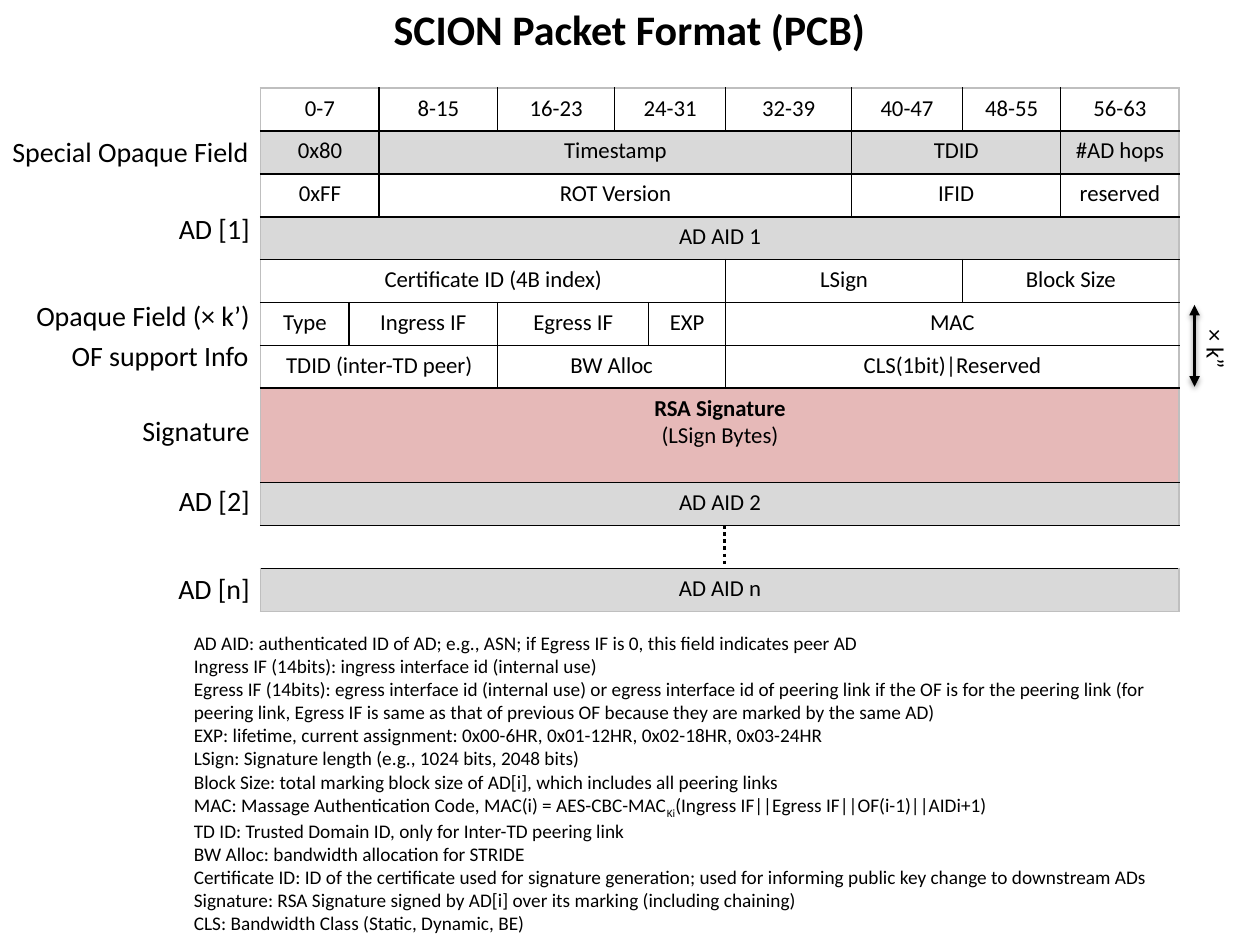
from dataclasses import dataclass
from lxml.etree import SubElement
from pptx import Presentation
from pptx.dml.color import RGBColor
from pptx.enum.dml import MSO_LINE
from pptx.enum.shapes import MSO_CONNECTOR
from pptx.enum.text import MSO_AUTO_SIZE, PP_ALIGN
from pptx.oxml.ns import qn
from pptx.util import Pt


@dataclass(frozen=True)
class Theme:
    font: str = "Calibri"
    ink: str = "000000"
    frame: str = "BFBFBF"
    grey: str = "D9D9D9"
    pink: str = "E6B9B8"
    title: float = 24
    label: float = 16
    repeat: float = 14
    cell: float = 13
    note: float = 11


THEME = Theme()
COLUMNS = [50.4, 17.28, 67.68, 66.96, 19.44, 43.92, 72, 63.36, 56.16, 67.68]
ROW_HEIGHT = 24.5
SIGNATURE_HEIGHT = 54
SIGNATURE_ROW = 7
GAP_ROW = 9

PACKET = [
    (None, [("0-7", 2), ("8-15", 1), ("16-23", 1), ("24-31", 2), ("32-39", 1),
            ("40-47", 1), ("48-55", 1), ("56-63", 1)]),
    (THEME.grey, [("0x80", 2), ("Timestamp", 5), ("TDID", 2), ("#AD hops", 1)]),
    (None, [("0xFF", 2), ("ROT Version", 5), ("IFID", 2), ("reserved", 1)]),
    (THEME.grey, [("AD AID 1", 10)]),
    (None, [("Certificate ID (4B index)", 6), ("LSign", 2), ("Block Size", 2)]),
    (None, [("Type", 1), ("Ingress IF", 2), ("Egress IF", 2), ("EXP", 1), ("MAC", 4)]),
    (None, [("TDID (inter-TD peer)", 3), ("BW Alloc", 3), ("CLS(1bit)|Reserved", 4)]),
    (THEME.pink, [("RSA Signature\n(LSign Bytes)", 10)]),
    (THEME.grey, [("AD AID 2", 10)]),
    (None, [("", 10)]),
    (THEME.grey, [("AD AID n", 10)]),
]

LABELS = [
    ("Special Opaque Field", 73.4, 149.1),
    ("AD [1]", 117.4, 149.8),
    ("Opaque Field (× k’)", 167, 149.8),
    ("OF support Info", 190.1, 149.1),
    ("Signature", 232.6, 149.8),
    ("AD [2]", 272.9, 149.8),
    ("AD [n]", 323.3, 149.8),
]

NOTES = [
    "AD AID: authenticated ID of AD; e.g., ASN; if Egress IF is 0, this field indicates peer AD",
    "Ingress IF (14bits): ingress interface id (internal use)",
    "Egress IF (14bits): egress interface id (internal use) or egress interface id of peering link "
    "if the OF is for the peering link (for peering link, Egress IF is same as that of previous OF "
    "because they are marked by the same AD)",
    "EXP: lifetime, current assignment: 0x00-6HR, 0x01-12HR, 0x02-18HR, 0x03-24HR",
    "LSign: Signature length (e.g., 1024 bits, 2048 bits)",
    "Block Size: total marking block size of AD[i], which includes all peering links",
    "MAC: Massage Authentication Code, "
    "MAC(i) = AES-CBC-MAC~Ki~(Ingress IF||Egress IF||OF(i-1)||AIDi+1)",
    "TD ID: Trusted Domain ID, only for Inter-TD peering link",
    "BW Alloc: bandwidth allocation for STRIDE",
    "Certificate ID: ID of the certificate used for signature generation; "
    "used for informing public key change to downstream ADs",
    "Signature: RSA Signature signed by AD[i] over its marking (including chaining)",
    "CLS: Bandwidth Class (Static, Dynamic, BE)",
]


def write_text(frame, text, *, size, align=PP_ALIGN.LEFT, bold_lines=0):
    for index, line in enumerate(text.split("\n")):
        para = frame.paragraphs[0] if index == 0 else frame.add_paragraph()
        para.alignment = align
        if not line:
            para._p.get_or_add_endParaRPr().set("sz", str(int(size * 100)))
            continue
        for part, piece in enumerate(line.split("~")):
            span = para.add_run()
            span.text = piece
            span.font.name = THEME.font
            span.font.size = Pt(size)
            span.font.bold = index < bold_lines
            span.font.color.rgb = RGBColor.from_string(THEME.ink)
            if part % 2:
                span.font._element.set("baseline", "-25000")


def add_text(page, box, text, *, wrap=False, rotation=0, **text_format):
    shape = page.shapes.add_textbox(*map(Pt, box))
    shape.rotation = rotation
    frame = shape.text_frame
    frame.word_wrap = wrap
    frame.auto_size = MSO_AUTO_SIZE.SHAPE_TO_FIT_TEXT
    write_text(frame, text, **text_format)


def set_border(cell, side, color):
    line = SubElement(cell._tc.get_or_add_tcPr(), qn(f"a:ln{side}"), w=str(Pt(1)))
    if color:
        fill = SubElement(line, qn("a:solidFill"))
        SubElement(fill, qn("a:srgbClr"), val=color)
    else:
        SubElement(line, qn("a:noFill"))


def add_field(table, row, start, width, text, fill):
    last = start + width - 1
    open_sided = row == GAP_ROW
    left = THEME.frame if start == 0 else THEME.ink
    right = THEME.frame if last == len(COLUMNS) - 1 else THEME.ink
    top = THEME.frame if row == 0 else THEME.ink
    bottom = THEME.frame if row == len(PACKET) - 1 else THEME.ink
    for column in range(start, last + 1):
        cell = table.cell(row, column)
        if column == start:
            set_border(cell, "L", None if open_sided else left)
        if column in (start, last):
            set_border(cell, "R", None if open_sided else right)
        set_border(cell, "T", top)
        set_border(cell, "B", bottom)
        if fill:
            cell.fill.solid()
            cell.fill.fore_color.rgb = RGBColor.from_string(fill)
        else:
            cell.fill.background()
    origin = table.cell(row, start)
    if width > 1:
        origin.merge(table.cell(row, last))
    write_text(origin.text_frame, text, size=THEME.cell, align=PP_ALIGN.CENTER,
               bold_lines=int(row == SIGNATURE_ROW))


def add_packet(page, left, top):
    height = ROW_HEIGHT * (len(PACKET) - 1) + SIGNATURE_HEIGHT
    table = page.shapes.add_table(len(PACKET), len(COLUMNS), Pt(left), Pt(top),
                                  Pt(sum(COLUMNS)), Pt(height)).table
    table.first_row = False
    table.horz_banding = False
    for column, width in zip(table.columns, COLUMNS):
        column.width = Pt(width)
    for row, (fill, fields) in enumerate(PACKET):
        table.rows[row].height = Pt(SIGNATURE_HEIGHT if row == SIGNATURE_ROW else ROW_HEIGHT)
        start = 0
        for text, width in fields:
            add_field(table, row, start, width, text, fill)
            start += width


def add_vertical(page, x, top, bottom):
    line = page.shapes.add_connector(MSO_CONNECTOR.STRAIGHT, Pt(x), Pt(top), Pt(x), Pt(bottom))
    line.line.color.rgb = RGBColor.from_string(THEME.ink)
    line.line.width = Pt(2)
    effects = SubElement(line._element.spPr, qn("a:effectLst"))
    return line, effects


def add_repeat_mark(page, left, top, height):
    arrow, effects = add_vertical(page, left, top, top + height)
    outline = arrow.line._get_or_add_ln()
    for end in ("a:headEnd", "a:tailEnd"):
        SubElement(outline, qn(end), type="triangle")
    shadow = SubElement(effects, qn("a:outerShdw"), blurRad=str(Pt(3.1)), dist=str(Pt(1.6)),
                        dir="5400000", rotWithShape="0")
    color = SubElement(shadow, qn("a:srgbClr"), val=THEME.ink)
    SubElement(color, qn("a:alpha"), val="38000")
    add_text(page, (left - 6.5, top + 13.7, 37.4, 24.5), "× k”", size=THEME.repeat, rotation=90)


def add_labels(page, width):
    for text, top, right in LABELS:
        add_text(page, (right - width, top, width, 26.6), text,
                 size=THEME.label, align=PP_ALIGN.RIGHT, wrap=True)


def main():
    deck = Presentation()
    deck.slide_width, deck.slide_height = Pt(720), Pt(540)
    page = deck.slides.add_slide(deck.slide_layouts[6])
    add_packet(page, 149, 50.4)
    add_labels(page, 153)
    dots, _ = add_vertical(page, 414, 300.2, 323.3)
    dots.line.dash_style = MSO_LINE.ROUND_DOT
    add_repeat_mark(page, 682.6, 174.2, 46.8)
    add_text(page, (103.7, 357.1, 563.8, 180.7), "\n".join(NOTES), size=THEME.note, wrap=True)
    add_text(page, (215.3, -1.4, 288.7, 36), "SCION Packet Format (PCB)",
             size=THEME.title, align=PP_ALIGN.CENTER, bold_lines=1)
    deck.save("out.pptx")


if __name__ == "__main__":
    main()
